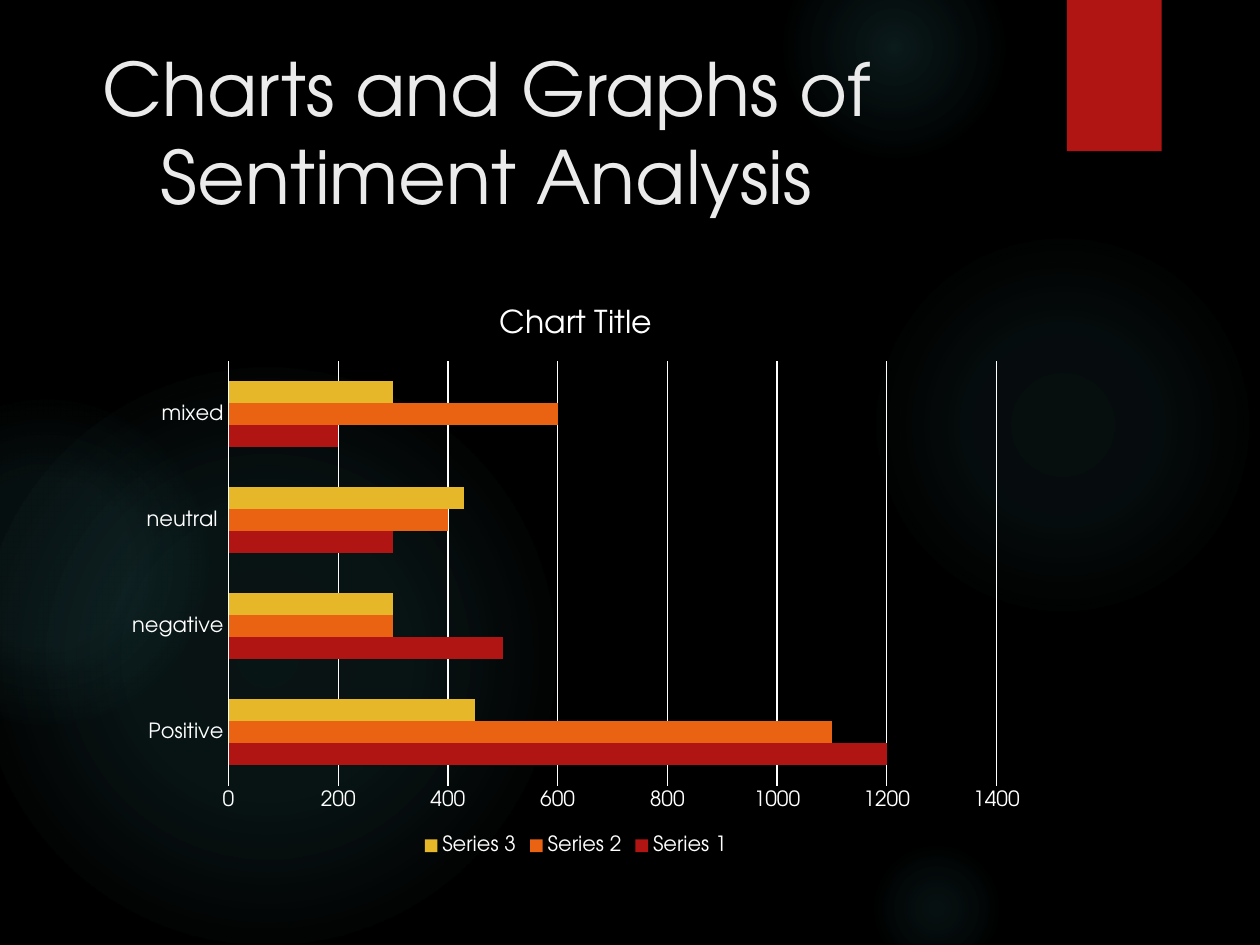
from typing import NamedTuple

import pptx
import pptx.chart.data
import pptx.dml.color
import pptx.enum.chart
import pptx.enum.shapes
import pptx.enum.text
import pptx.oxml
import pptx.oxml.ns
import pptx.util
from pptx.util import Cm, Pt

RGBColor = pptx.dml.color.RGBColor
BLACK = RGBColor(0x00, 0x00, 0x00)
WHITE = RGBColor(0xFF, 0xFF, 0xFF)
PALE = RGBColor(0xEB, 0xEB, 0xEB)
TEAL = RGBColor(0x50, 0xB9, 0xC1)
RED = RGBColor(0xB0, 0x15, 0x13)
ORANGE = RGBColor(0xEA, 0x63, 0x12)
YELLOW = RGBColor(0xE6, 0xB7, 0x29)
FONT = "TeX Gyre Adventor"


class Glow(NamedTuple):
    """A soft circle in centimetres; each stop is (position %, opacity %)."""
    left: float
    top: float
    size: float
    stops: tuple


class Series(NamedTuple):
    name: str
    values: tuple
    color: RGBColor


GLOWS = [
    Glow(17.5, 4.65, 7.82, ((0, 7), (36, 6), (69, 0))),
    Glow(15.8, -1.27, 4.45, ((0, 14), (36, 7), (73, 0))),
    Glow(17.5, 16.94, 2.74, ((0, 9), (36, 5), (66, 0))),
    Glow(-0.43, 7.42, 11.63, ((0, 11), (36, 10), (75, 0))),
    Glow(-2.34, 8.05, 6.55, ((0, 8), (36, 8), (72, 0))),
]
CATEGORIES = ["Positive", "negative", "neutral ", "mixed"]
SERIES = [
    Series("Series 1", (1200, 500, 300, 200), RED),
    Series("Series 2", (1100, 300, 400, 600), ORANGE),
    Series("Series 3", (450, 300, 430, 300), YELLOW),
]


def style_font(font, size: float, color: RGBColor) -> None:
    font.name = FONT
    font.size = Pt(size)
    font.bold = False
    font.color.rgb = color


def draw_glow(page, glow: Glow) -> None:
    circle = page.shapes.add_shape(
        pptx.enum.shapes.MSO_SHAPE.OVAL,
        Cm(glow.left), Cm(glow.top), Cm(glow.size), Cm(glow.size))
    circle.shadow.inherit = False
    circle.line.fill.background()
    circle.fill.background()
    stops = "".join(
        f'<a:gs pos="{position * 1000}"><a:srgbClr val="{TEAL}">'
        f'<a:alpha val="{opacity * 1000}"/></a:srgbClr></a:gs>'
        for position, opacity in glow.stops)
    gradient = pptx.oxml.parse_xml(
        f'<a:gradFill {pptx.oxml.ns.nsdecls("a")} rotWithShape="1">'
        f'<a:gsLst>{stops}</a:gsLst><a:path path="circle">'
        '<a:fillToRect l="50000" t="50000" r="50000" b="50000"/>'
        '</a:path></a:gradFill>')
    properties = circle._element.spPr
    properties.replace(properties.find(pptx.oxml.ns.qn("a:noFill")), gradient)


def draw_ribbon(page) -> None:
    ribbon = page.shapes.add_shape(
        pptx.enum.shapes.MSO_SHAPE.RECTANGLE,
        Cm(21.51), Cm(0), Cm(1.91), Cm(3.05))
    ribbon.shadow.inherit = False
    ribbon.fill.solid()
    ribbon.fill.fore_color.rgb = RED
    ribbon.line.fill.background()


def write_title(page, text: str) -> None:
    title = page.shapes.title
    title.left, title.top = Cm(0), Cm(0.69)
    title.width, title.height = Cm(19.61), Cm(3.89)
    frame = title.text_frame
    frame.word_wrap = True
    frame.auto_size = pptx.enum.text.MSO_AUTO_SIZE.NONE
    frame.vertical_anchor = pptx.enum.text.MSO_ANCHOR.MIDDLE
    para = frame.paragraphs[0]
    para.alignment = pptx.enum.text.PP_ALIGN.CENTER
    span = para.add_run()
    span.text = text
    style_font(span.font, 42, PALE)
    # Bring the title in front of the background ornaments.
    page.shapes._spTree.append(title._element)


def draw_chart(page) -> None:
    data = pptx.chart.data.CategoryChartData()
    data.categories = CATEGORIES
    for series in SERIES:
        data.add_series(series.name, series.values)
    chart = page.shapes.add_chart(
        pptx.enum.chart.XL_CHART_TYPE.BAR_CLUSTERED,
        Cm(2.29), Cm(5.69), Cm(18.64), Cm(11.66), data).chart
    style_font(chart.font, 10, WHITE)

    chart.has_title = True
    span = chart.chart_title.text_frame.paragraphs[0].add_run()
    span.text = "Chart Title"
    style_font(span.font, 18, WHITE)
    chart.chart_title.include_in_layout = False

    chart.has_legend = True
    chart.legend.position = pptx.enum.chart.XL_LEGEND_POSITION.BOTTOM
    chart.legend.include_in_layout = False
    style_font(chart.legend.font, 12, WHITE)

    for axis in (chart.category_axis, chart.value_axis):
        axis.major_tick_mark = pptx.enum.chart.XL_TICK_MARK.NONE
        axis.minor_tick_mark = pptx.enum.chart.XL_TICK_MARK.NONE
        style_font(axis.tick_labels.font, 12, WHITE)
    chart.value_axis.format.line.fill.background()
    chart.value_axis.has_major_gridlines = True
    for line in (chart.category_axis.format.line,
                 chart.value_axis.major_gridlines.format.line):
        line.color.rgb = WHITE
        line.width = Pt(0.75)

    plot = chart.plots[0]
    plot.gap_width = 182
    plot.vary_by_categories = False
    for bars, series in zip(plot.series, SERIES):
        bars.format.fill.solid()
        bars.format.fill.fore_color.rgb = series.color


def main() -> None:
    deck = pptx.Presentation()
    deck.slide_width, deck.slide_height = Cm(25.4), Cm(19.05)
    page = deck.slides.add_slide(deck.slide_layouts[5])
    page.background.fill.solid()
    page.background.fill.fore_color.rgb = BLACK
    for glow in GLOWS:
        draw_glow(page, glow)
    draw_ribbon(page)
    write_title(page, "Charts and Graphs of Sentiment Analysis")
    draw_chart(page)
    deck.save("out.pptx")


if __name__ == "__main__":
    main()
